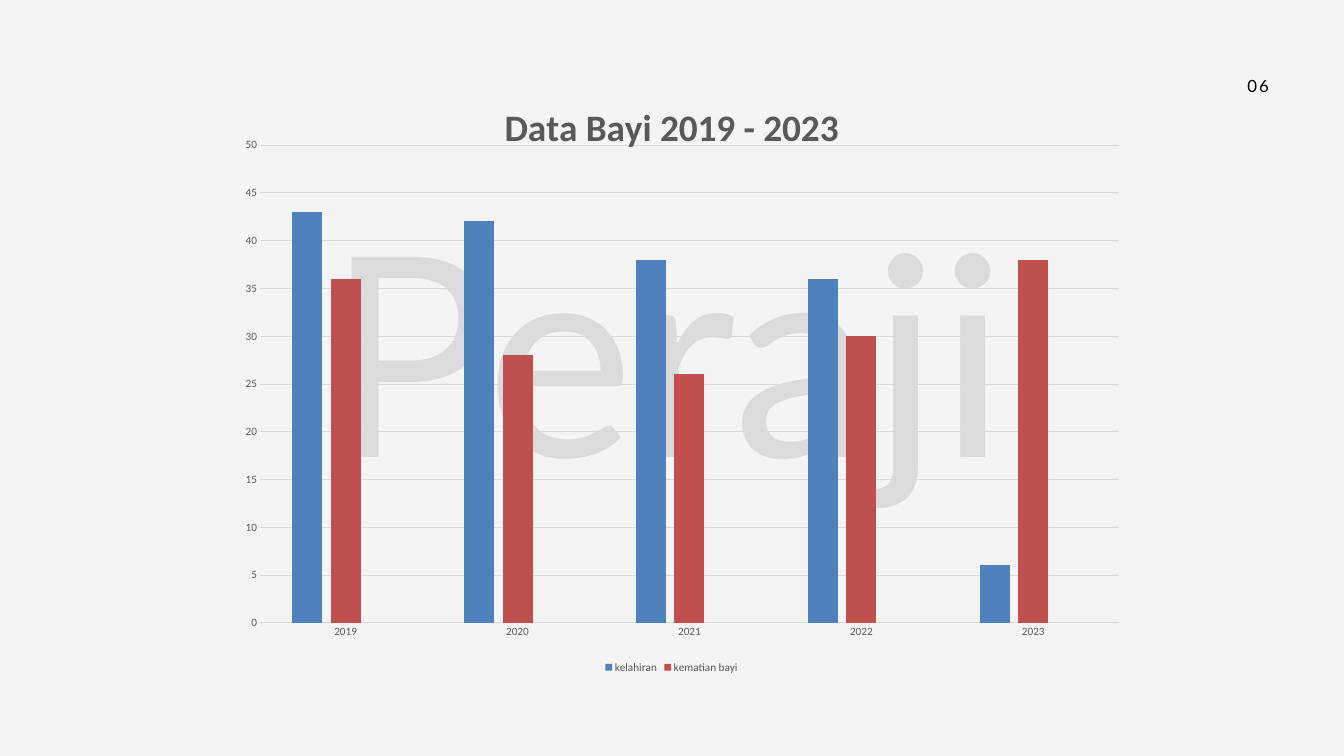
from lxml.etree import SubElement
from pptx import Presentation
from pptx.chart.data import CategoryChartData
from pptx.dml.color import RGBColor as RGB
from pptx.enum.chart import XL_CHART_TYPE as ChartType
from pptx.enum.chart import XL_LEGEND_POSITION as LegendPos
from pptx.enum.chart import XL_TICK_MARK as Tick
from pptx.enum.text import PP_ALIGN as Align
from pptx.oxml import parse_xml
from pptx.oxml.ns import nsdecls, qn
from pptx.util import Cm, Pt

COLORS = {
    "back": "F4F4F4",
    "ink": "000000",
    "label": "595959",
    "grid": "D9D9D9",
    "births": "4F81BD",
    "deaths": "C0504D",
    "spare": "9BBB59",
}


def rgb(name):
    return RGB.from_string(COLORS[name])


def write(tf, text, size, font, color="ink", bold=None, align=None,
          line=None, spacing=None, opacity=None):
    p = tf.paragraphs[0]
    p.alignment = align
    if line:
        p.line_spacing = Pt(line)
    r = p.add_run()
    r.text = text
    r.font.size, r.font.name, r.font.bold = Pt(size), font, bold
    r.font.color.rgb = rgb(color)
    rpr = r.font._element
    if spacing:
        rpr.set("spc", str(round(spacing * 100)))
    if opacity:
        fill = rpr.find(".//" + qn("a:srgbClr"))
        SubElement(fill, qn("a:alpha")).set("val", str(opacity * 1000))


class Deck:
    text_font = "Lato"
    chart_font = "Calibri"

    def __init__(self, prs):
        self.s = prs.slides.add_slide(prs.slide_layouts[6])
        fill = self.s.background.fill
        fill.solid()
        fill.fore_color.rgb = rgb("back")

    def text(self, text, x, y, w, h, **fmt):
        tf = self.s.shapes.add_textbox(Cm(x), Cm(y), Cm(w), Cm(h)).text_frame
        tf.word_wrap = True
        tf.margin_left = tf.margin_right = tf.margin_top = tf.margin_bottom = 0
        write(tf, text, font=self.text_font, **fmt)

    def style_font(self, font, size, color):
        font.size, font.name = Pt(size), self.chart_font
        font.color.rgb = rgb(color)

    def style_axis(self, axis):
        axis.major_tick_mark = axis.minor_tick_mark = Tick.NONE
        self.style_font(axis.tick_labels.font, 12, "label")

    def style_line(self, line):
        line.color.rgb = rgb("grid")
        line.width = Pt(0.75)

    def column_chart(self, title, cats, series, x, y, w, h, plot_box):
        data = CategoryChartData()
        data.categories = cats
        for name, values, _ in series:
            data.add_series(name, values)
        chart = self.s.shapes.add_chart(
            ChartType.COLUMN_CLUSTERED, Cm(x), Cm(y), Cm(w), Cm(h), data).chart
        self.style_font(chart.font, 10, "ink")
        chart.has_title = True
        write(chart.chart_title.text_frame, title, 40, self.chart_font,
              color="label", bold=True)
        chart.chart_title.include_in_layout = False

        plot = chart.plots[0]
        plot.gap_width, plot.overlap = 219, -27
        plot.vary_by_categories = False
        for ser, (_, _, color) in zip(plot.series, series):
            ser.invert_if_negative = False
            ser.format.fill.solid()
            ser.format.fill.fore_color.rgb = rgb(color)

        cat_axis, val_axis = chart.category_axis, chart.value_axis
        self.style_axis(cat_axis)
        self.style_line(cat_axis.format.line)
        self.style_axis(val_axis)
        val_axis.format.line.fill.background()
        self.style_line(val_axis.major_gridlines.format.line)
        val_axis.minimum_scale, val_axis.maximum_scale = 0, 50
        val_axis.major_unit = 5

        chart.has_legend = True
        chart.legend.position = LegendPos.BOTTOM
        chart.legend.include_in_layout = False
        self.style_font(chart.legend.font, 12, "label")
        self.hide_empty_entries(chart.legend, series)
        self.place_plot(chart, plot_box)

    def hide_empty_entries(self, legend, series):
        pos = legend._element.find(qn("c:legendPos"))
        for i, (_, values, _) in reversed(list(enumerate(series))):
            if not any(values):
                pos.addnext(parse_xml(
                    f'<c:legendEntry {nsdecls("c")}><c:idx val="{i}"/>'
                    '<c:delete val="1"/></c:legendEntry>'))

    def place_plot(self, chart, box):
        area = chart._chartSpace.find(".//" + qn("c:plotArea"))
        for old in area.findall(qn("c:layout")):
            area.remove(old)
        modes = '<c:xMode val="edge"/><c:yMode val="edge"/>'
        sizes = "".join(f'<c:{k} val="{v}"/>' for k, v in zip("xywh", box))
        area.insert(0, parse_xml(
            f'<c:layout {nsdecls("c")}><c:manualLayout>'
            f'<c:layoutTarget val="inner"/>{modes}{sizes}'
            '</c:manualLayout></c:layout>'))


def main():
    prs = Presentation()
    prs.slide_width, prs.slide_height = Cm(50.8), Cm(28.58)
    deck = Deck(prs)
    deck.text("06", 44.91, 2.74, 3.05, 0.86, size=18, align=Align.RIGHT,
              line=25.2, spacing=2.1)
    deck.text("Peraji", 5.49, 11.68, 39.42, 9.04, size=299.6,
              align=Align.CENTER, line=218.7, opacity=9)
    cats = ["2019", "2020", "2021", "2022", "2023"]
    series = [
        ("kelahiran", [43, 42, 38, 36, 6], "births"),
        ("kematian bayi", [36, 28, 26, 30, 38], "deaths"),
        ("Series 3", [None] * len(cats), "spare"),
    ]
    deck.column_chart("Data Bayi 2019 - 2023", cats, series,
                      8.46, 3, 33.86, 22.58, (0.04, 0.11, 0.96, 0.8))
    prs.save("out.pptx")


if __name__ == "__main__":
    main()
